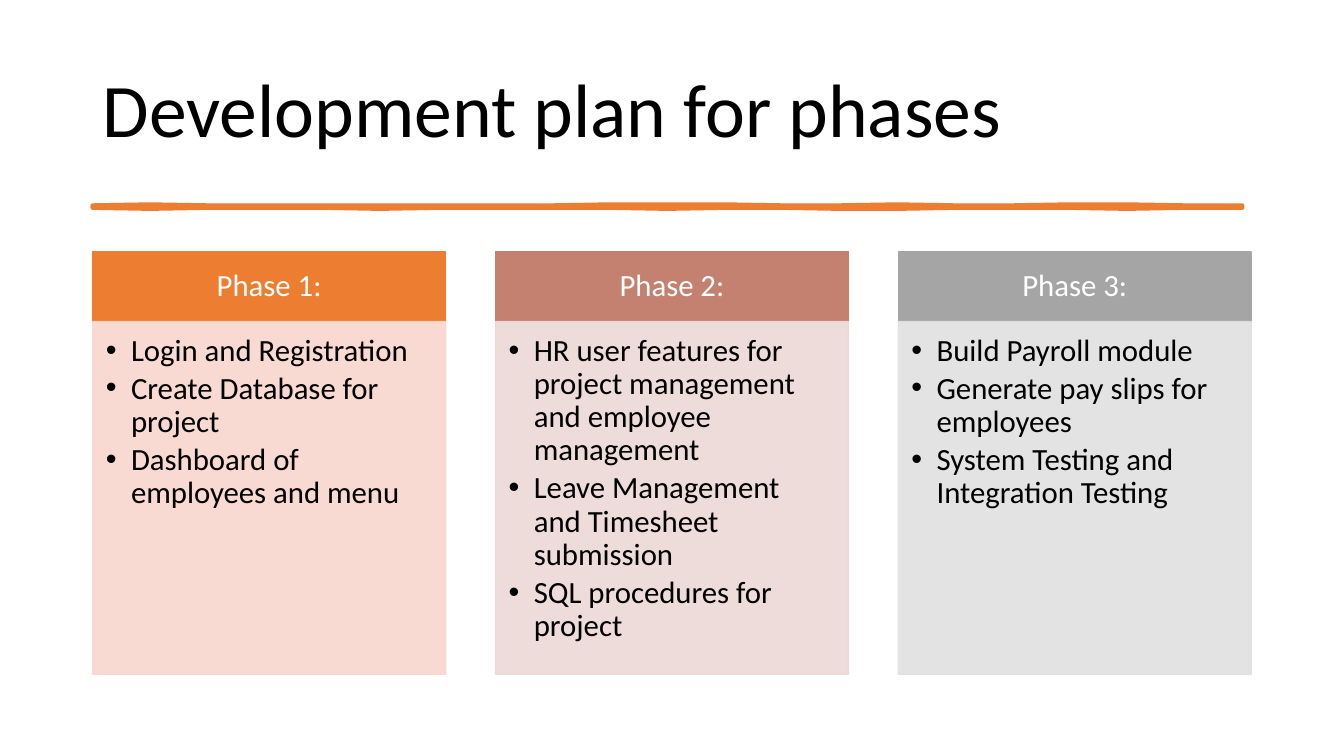
import pptx
import pptx.dml.color
import pptx.enum.shapes
import pptx.enum.text
import pptx.oxml
import pptx.oxml.ns
import pptx.util

RGBColor = pptx.dml.color.RGBColor
Inches = pptx.util.Inches
Pt = pptx.util.Pt
ALIGN = pptx.enum.text.PP_ALIGN
ANCHOR = pptx.enum.text.MSO_ANCHOR

ORANGE = RGBColor(0xED, 0x7D, 0x31)
ROSE = RGBColor(0xC4, 0x81, 0x70)
GRAY = RGBColor(0xA5, 0xA5, 0xA5)
PALE_ORANGE = RGBColor(0xF8, 0xD7, 0xCE)
PALE_ROSE = RGBColor(0xED, 0xD9, 0xD7)
PALE_GRAY = RGBColor(0xE1, 0xE1, 0xE1)
BLACK = RGBColor(0, 0, 0)
WHITE = RGBColor(0xFF, 0xFF, 0xFF)

TITLE = "Development plan for phases"
PHASES = [
    ("Phase 1:", ORANGE, PALE_ORANGE, [
        "Login and Registration",
        "Create Database for project",
        "Dashboard of employees and menu",
    ]),
    ("Phase 2:", ROSE, PALE_ROSE, [
        "HR user features for project management and employee management",
        "Leave Management and Timesheet submission",
        "SQL procedures for project",
    ]),
    ("Phase 3:", GRAY, PALE_GRAY, [
        "Build Payroll module",
        "Generate pay slips for employees",
        "System Testing and Integration Testing",
    ]),
]
RULE_TOP = [2.04, 2.03, 2.04, 2.04, 2.04, 2.04, 2.04, 2.04, 2.04, 2.03, 2.03,
            2.03, 2.04, 2.04, 2.03, 2.04, 2.04, 2.03, 2.03, 2.04, 2.04]
RULE_BOTTOM = [2.06, 2.07, 2.06, 2.06, 2.06, 2.07, 2.06, 2.06, 2.06, 2.06, 2.07,
               2.06, 2.06, 2.07, 2.07, 2.06, 2.06, 2.06, 2.07, 2.06, 2.06]

WIDTH, HEIGHT = 13.33, 7.5
LEFT = 0.92
CONTENT_WIDTH = 11.49
COLUMN_WIDTH = 3.5
COLUMN_GAP = (CONTENT_WIDTH - len(PHASES) * COLUMN_WIDTH) / (len(PHASES) - 1)
HEADER_TOP, HEADER_HEIGHT = 2.5, 0.69
RULE_WIDTH = 11.4


def write_text(shape, lines, size, color, align=ALIGN.LEFT, anchor=ANCHOR.TOP,
               insets=(0.1, 0.05, 0.1, 0.05), space_after=0, bullets=False):
    frame = shape.text_frame
    frame.word_wrap = True
    frame.auto_size = pptx.enum.text.MSO_AUTO_SIZE.NONE
    frame.vertical_anchor = anchor
    (frame.margin_left, frame.margin_top,
     frame.margin_right, frame.margin_bottom) = map(Inches, insets)
    frame.text = "\n".join(lines)
    for paragraph in frame.paragraphs:
        paragraph.alignment = align
        paragraph.line_spacing = 0.9
        paragraph.space_before = Pt(0)
        paragraph.space_after = Pt(space_after)
        font = paragraph.runs[0].font
        font.name, font.size, font.color.rgb = "Calibri", Pt(size), color
        if bullets:
            paragraph.level = 1
            properties = paragraph._p.get_or_add_pPr()
            properties.set("marL", str(Inches(0.25)))
            properties.set("indent", str(-Inches(0.25)))
            bullet_font = pptx.oxml.ns.qn("a:buFont")
            properties.append(properties.makeelement(bullet_font, {"typeface": "Arial"}))
            bullet = pptx.oxml.ns.qn("a:buChar")
            properties.append(properties.makeelement(bullet, {"char": "•"}))


def paint(shape, color, line_width, opacity=100):
    shape.shadow.inherit = False
    shape.fill.solid()
    shape.fill.fore_color.rgb = color
    shape.line.color.rgb = color
    shape.line.width = Pt(line_width)
    if opacity < 100:
        alpha = pptx.oxml.ns.qn("a:alpha")
        for node in shape._element.spPr.iter(pptx.oxml.ns.qn("a:srgbClr")):
            node.append(node.makeelement(alpha, {"val": str(opacity * 1000)}))


def add_box(slide, left, top, height, color, opacity=100):
    box = slide.shapes.add_shape(
        pptx.enum.shapes.MSO_SHAPE.RECTANGLE,
        Inches(left), Inches(top), Inches(COLUMN_WIDTH), Inches(height))
    paint(box, color, 1, opacity)
    return box


def add_rule(slide):
    step = RULE_WIDTH / (len(RULE_TOP) - 1)
    top = [(LEFT + i * step, y) for i, y in enumerate(RULE_TOP)]
    bottom = [(LEFT + i * step, y) for i, y in enumerate(RULE_BOTTOM)]
    outline = [(Inches(x), Inches(y)) for x, y in top + bottom[::-1]]
    builder = slide.shapes.build_freeform(*outline[0])
    builder.add_line_segments(outline[1:], close=True)
    paint(builder.convert_to_shape(), ORANGE, 3.25)


def main():
    presentation = pptx.Presentation()
    presentation.slide_width = Inches(WIDTH)
    presentation.slide_height = Inches(HEIGHT)
    slide = presentation.slides.add_slide(presentation.slide_layouts.get_by_name("Title Only"))

    title = slide.shapes.title
    title.left, title.top = Inches(LEFT), Inches(0.4)
    title.width, title.height = Inches(11.5), Inches(1.45)
    write_text(title, [TITLE], 54, BLACK, anchor=ANCHOR.MIDDLE)
    add_rule(slide)

    for column, (name, strong, pale, tasks) in enumerate(PHASES):
        left = LEFT + column * (COLUMN_WIDTH + COLUMN_GAP)
        header = add_box(slide, left, HEADER_TOP, HEADER_HEIGHT, strong)
        write_text(header, [name], 22, WHITE, align=ALIGN.CENTER,
                   anchor=ANCHOR.MIDDLE, insets=(0.17, 0.1, 0.17, 0.1))
        body = add_box(slide, left, HEADER_TOP + HEADER_HEIGHT, COLUMN_WIDTH, pale, opacity=90)
        write_text(body, tasks, 22, BLACK, insets=(0.13, 0.13, 0.17, 0.19),
                   space_after=3.3, bullets=True)

    presentation.save("out.pptx")


if __name__ == "__main__":
    main()
